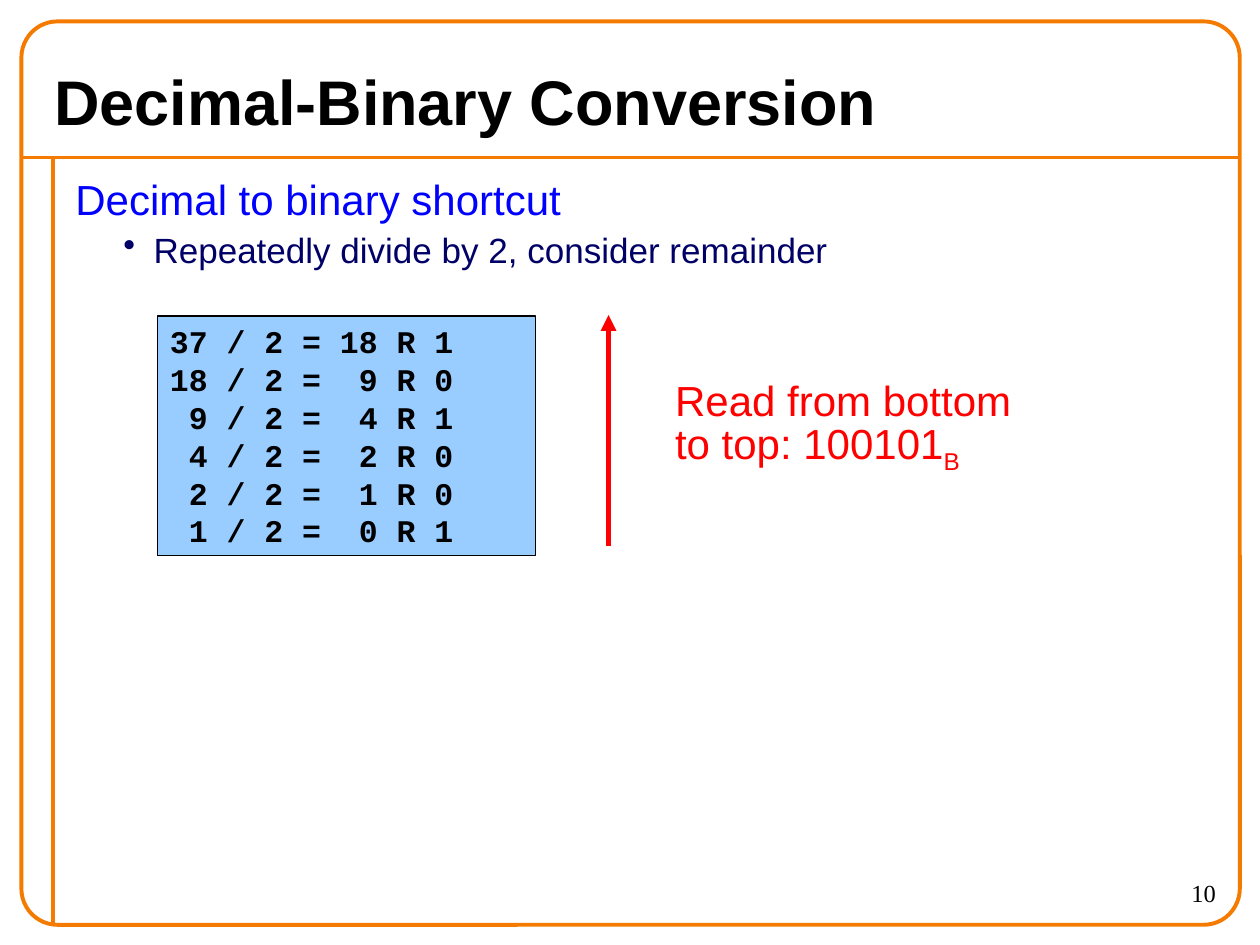
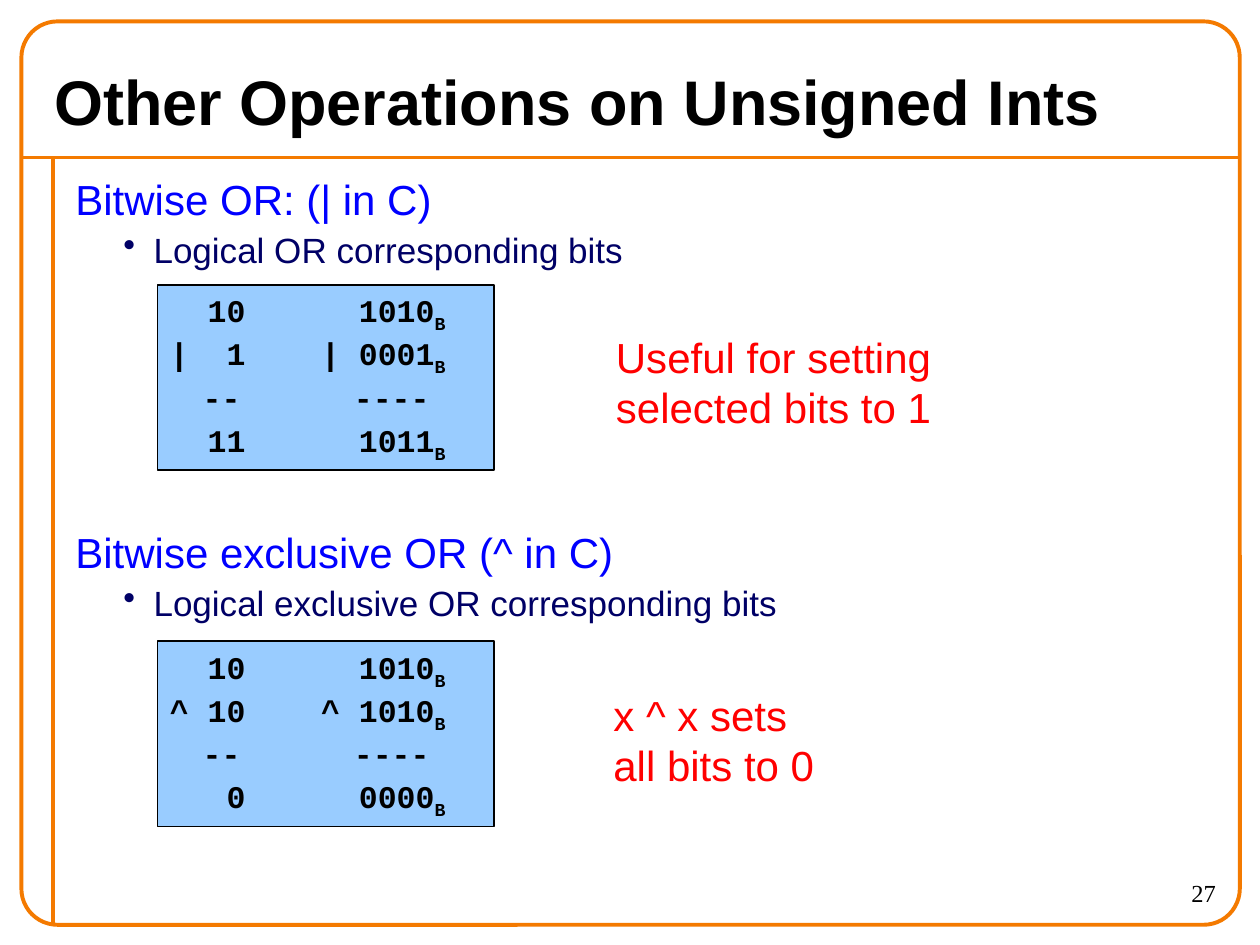
"""Build two slides on binary conversion and bitwise operations."""
from dataclasses import dataclass
from typing import Any

from lxml import etree
from pptx import Presentation
from pptx.dml.color import RGBColor
from pptx.enum.shapes import MSO_CONNECTOR, MSO_SHAPE
from pptx.enum.text import MSO_ANCHOR, MSO_AUTO_SIZE, PP_ALIGN
from pptx.oxml.ns import qn
from pptx.util import Inches, Pt

LINE = MSO_CONNECTOR.STRAIGHT
RECT = MSO_SHAPE.RECTANGLE
ROUND = MSO_SHAPE.ROUNDED_RECTANGLE
MIDDLE, TOP = MSO_ANCHOR.MIDDLE, MSO_ANCHOR.TOP
LEFT, RIGHT = PP_ALIGN.LEFT, PP_ALIGN.RIGHT
FIXED = MSO_AUTO_SIZE.NONE
TITLE_ONLY = 5
SUB = "~"


@dataclass(frozen=True)
class Type:
    """Font, size, colour, weight and line pitch of a kind of text."""
    font: str
    size: float
    color: str
    bold: bool = False
    pitch: float | None = None


@dataclass(frozen=True)
class Theme:
    """Colours and type sizes of the deck."""
    frame: str = "F47A00"
    panel: str = "99CCFF"
    edge: str = "000000"
    accent: str = "FF0000"
    title: Type = Type("Arial", 36, "000000", True)
    head: Type = Type("Arial", 24, "0000FF", pitch=28.8)
    point: Type = Type("Arial", 20, "000066", pitch=24)
    note: Type = Type("Arial", 24, "FF0000", pitch=28.8)
    code: Type = Type("Courier New", 18, "000000", True, 21.6)
    bits: Type = Type("Courier New", 18, "000000", True, 24.66)
    number: Type = Type("Times New Roman", 14, "000000")


@dataclass(frozen=True)
class Box:
    """Place and size in inches."""
    left: float
    top: float
    width: float
    height: float

    def emu(self) -> list[int]:
        """Give the four lengths as Inches."""
        return [Inches(v) for v in (self.left, self.top, self.width, self.height)]


@dataclass(frozen=True)
class Topic:
    """A heading with its point and the gap above it."""
    head: str
    point: str
    gap: float = 0


@dataclass(frozen=True)
class Text:
    """Lines of one kind of text in a box."""
    box: Box
    kind: Type
    lines: tuple[str, ...]


@dataclass(frozen=True)
class Page:
    """All that one slide shows."""
    title: str
    number: str
    topics: tuple[Topic, ...]
    panels: tuple[Text, ...]
    notes: tuple[Text, ...]
    arrow: tuple[float, float, float, float] | None = None


THEME = Theme()
TITLE = Box(0.33, 0.42, 9.33, 0.75)
BODY = Box(0.5, 1.33, 9.25, 6)
NUMBER = Box(8.75, 6.92, 1, 0.42)
FRAME = Box(0.17, 0.17, 9.67, 7.17)
RULES = ((0.17, 1.25, 9.83, 1.25), (0.42, 1.25, 0.42, 7.33))
DASHES = "~   ~--      ----"

PAGES = (
    Page(
        "Decimal-Binary Conversion", "10",
        (Topic("Decimal to binary shortcut",
               "Repeatedly divide by 2, consider remainder"),),
        (Text(Box(1.25, 2.51, 3, 1.9), THEME.code,
              ("37 / 2 = 18 R 1", "18 / 2 =  9 R 0", " 9 / 2 =  4 R 1",
               " 4 / 2 =  2 R 0", " 2 / 2 =  1 R 0", " 1 / 2 =  0 R 1")),),
        (Text(Box(5.26, 2.92, 2.87, 0.96), THEME.note,
              ("Read from bottom", "to top: 100101~B")),),
        (4.83, 4.33, 4.83, 2.5),
    ),
    Page(
        "Other Operations on Unsigned Ints", "27",
        (Topic("Bitwise OR: (| in C)", "Logical OR corresponding bits"),
         Topic("Bitwise exclusive OR (^ in C)",
               "Logical exclusive OR corresponding bits", 146.4)),
        (Text(Box(1.25, 2.26, 2.67, 1.47), THEME.bits,
              ("  10      1010~B", "|  1    | 0001~B", DASHES, "  11      1011~B")),
         Text(Box(1.25, 5.09, 2.67, 1.47), THEME.bits,
              ("  10      1010~B", "^ 10    ^ 1010~B", DASHES, "   0      0000~B"))),
        (Text(Box(4.79, 2.58, 2.7, 0.9), THEME.note,
              ("Useful for setting", "selected bits to 1")),
         Text(Box(4.77, 5.42, 1.79, 0.9), THEME.note,
              ("x ^ x sets", "all bits to 0"))),
    ),
)


def apply(item: Any, values: dict[str, Any]) -> None:
    """Set each named value on the item."""
    for name, value in values.items():
        setattr(item, name, value)


def rgb(code: str) -> RGBColor:
    """Turn a hex code into a colour."""
    return RGBColor.from_string(code)


def stroke(shape: Any, color: str, width: float) -> None:
    """Give a shape a solid line."""
    shape.line.color.rgb = rgb(color)
    shape.line.width = Pt(width)


def write(para: Any, text: str, kind: Type, **form: Any) -> None:
    """Fill a paragraph, lowering each second part between marks."""
    spacing = {"line_spacing": Pt(kind.pitch)} if kind.pitch else {}
    apply(para, {"alignment": LEFT, **spacing, **form})
    for spot, part in enumerate(text.split(SUB)):
        if not part:
            continue
        run = para.add_run()
        run.text = part
        apply(run.font, {"name": kind.font, "size": Pt(kind.size), "bold": kind.bold})
        run.font.color.rgb = rgb(kind.color)
        if spot % 2:
            run.font._element.set("baseline", "-25000")


def add_para(frame: Any) -> Any:
    """Give the first free paragraph of a frame."""
    first = frame.paragraphs[0]
    return frame.add_paragraph() if first.runs else first


def set_frame(frame: Any, wrap: bool = True, anchor: Any = TOP) -> None:
    """Set the wrap, anchor and insets of a text frame."""
    side, edge = Inches(0.1), Inches(0.05)
    apply(frame, {"auto_size": FIXED, "word_wrap": wrap, "vertical_anchor": anchor,
                  "margin_left": side, "margin_right": side,
                  "margin_top": edge, "margin_bottom": edge})


def add_box(slide: Any, box: Box, wrap: bool = True) -> Any:
    """Add a text box and return its frame."""
    frame = slide.shapes.add_textbox(*box.emu()).text_frame
    set_frame(frame, wrap)
    return frame


def add_line(slide: Any, ends: tuple[float, ...], color: str, width: float,
             arrow: bool = False) -> Any:
    """Add a straight line, with a head at its end if asked."""
    line = slide.shapes.add_connector(LINE, *[Inches(v) for v in ends])
    stroke(line, color, width)
    if arrow:
        etree.SubElement(line.line._get_or_add_ln(), qn("a:tailEnd"), type="triangle")
    etree.SubElement(line._element.spPr, qn("a:effectLst"))
    return line


def add_shape(slide: Any, form: Any, box: Box, fill: str | None,
              edge: str, width: float) -> Any:
    """Add a flat shape with a line and a fill or none."""
    shape = slide.shapes.add_shape(form, *box.emu())
    shape.shadow.inherit = False
    stroke(shape, edge, width)
    if fill:
        shape.fill.solid()
        shape.fill.fore_color.rgb = rgb(fill)
    else:
        shape.fill.background()
    return shape


def add_frame(slide: Any) -> None:
    """Draw the frame and move it to the layout all slides share."""
    parts = [add_line(slide, ends, THEME.frame, 2.25) for ends in RULES]
    border = add_shape(slide, ROUND, FRAME, None, THEME.frame, 2.25)
    border.adjustments[0] = 0.04
    for part in (*parts, border):
        slide.slide_layout.shapes._spTree.append(part._element)


def add_title(slide: Any, text: str) -> None:
    """Place and fill the title."""
    title = slide.shapes.title
    apply(title, dict(zip(("left", "top", "width", "height"), TITLE.emu())))
    set_frame(title.text_frame, anchor=MIDDLE)
    write(title.text_frame.paragraphs[0], text, THEME.title)


def add_topics(slide: Any, topics: tuple[Topic, ...]) -> None:
    """Write the headings and their bullet points."""
    frame = add_box(slide, BODY)
    for topic in topics:
        write(add_para(frame), topic.head, THEME.head, space_before=Pt(topic.gap))
        para = add_para(frame)
        props = para._p.get_or_add_pPr()
        apply(para, {"level": 1, "space_before": Pt(2.5)})
        props.set("marL", str(Inches(0.62)))
        props.set("indent", str(Inches(-0.24)))
        tint = etree.SubElement(props, qn("a:buClr"))
        etree.SubElement(tint, qn("a:srgbClr"), val=THEME.point.color)
        etree.SubElement(props, qn("a:buChar"), char="•")
        write(para, topic.point, THEME.point)


def add_lines(frame: Any, text: Text) -> None:
    """Write each line as a paragraph."""
    for line in text.lines:
        write(add_para(frame), line, text.kind)


def add_page(deck: Any, page: Page) -> Any:
    """Add one slide with all its parts."""
    slide = deck.slides.add_slide(deck.slide_layouts[TITLE_ONLY])
    add_title(slide, page.title)
    add_topics(slide, page.topics)
    write(add_box(slide, NUMBER).paragraphs[0], page.number, THEME.number,
          alignment=RIGHT)
    for panel in page.panels:
        shape = add_shape(slide, RECT, panel.box, THEME.panel, THEME.edge, 1)
        set_frame(shape.text_frame, anchor=MIDDLE)
        add_lines(shape.text_frame, panel)
    if page.arrow:
        add_line(slide, page.arrow, THEME.accent, 3, arrow=True)
    for note in page.notes:
        add_lines(add_box(slide, note.box, wrap=False), note)
    return slide


def main() -> None:
    """Build and save the deck."""
    deck = Presentation()
    apply(deck, {"slide_width": Inches(10), "slide_height": Inches(7.5)})
    slides = [add_page(deck, page) for page in PAGES]
    add_frame(slides[0])
    deck.save("out.pptx")


if __name__ == "__main__":
    main()
